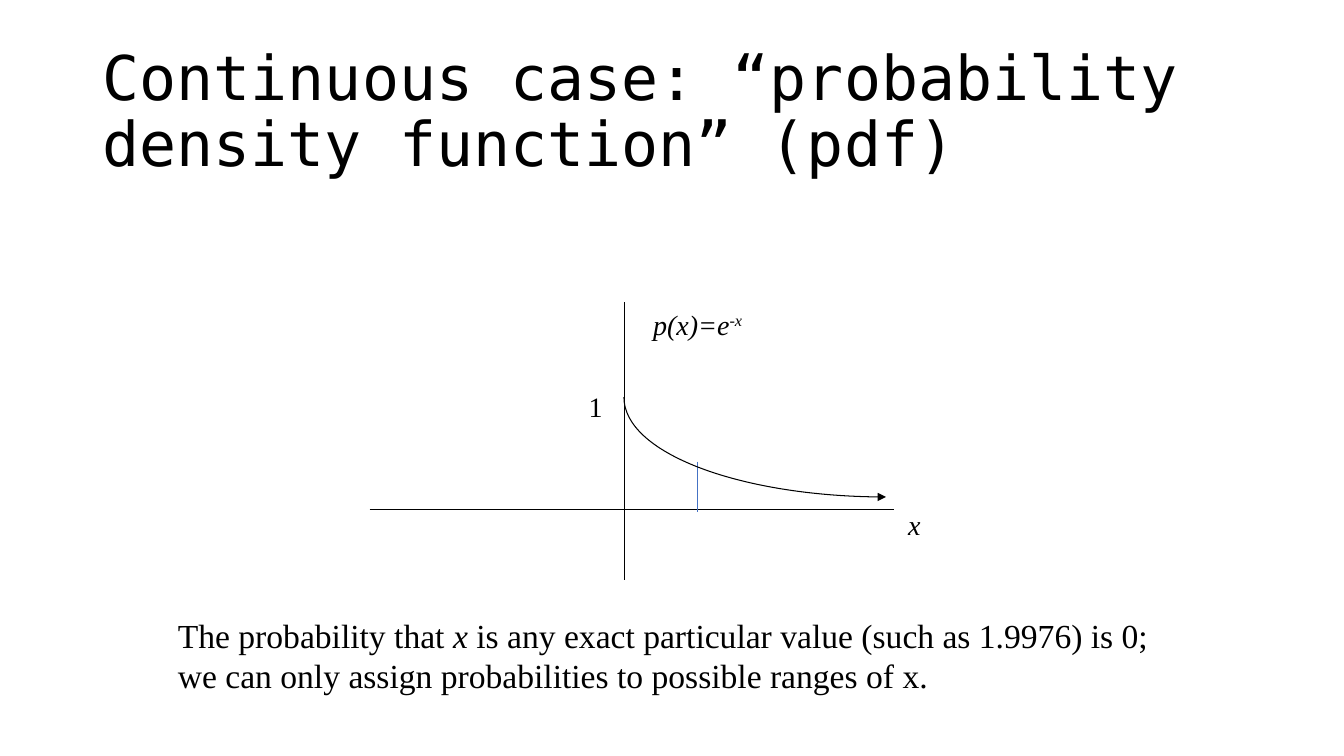
from typing import NamedTuple

from lxml.etree import SubElement
from pptx import Presentation
from pptx.dml.color import RGBColor
from pptx.enum.shapes import MSO_CONNECTOR
from pptx.enum.text import MSO_ANCHOR, MSO_AUTO_SIZE, PP_ALIGN
from pptx.oxml.ns import qn
from pptx.util import Pt

COLORS = {"ink": "000000", "marker": "4472C4"}
TITLE_FONT = "DejaVu Sans Mono"
BODY_FONT = "Times New Roman"


class Run(NamedTuple):
    text: str
    italic: bool = False
    superscript: bool = False


class Label(NamedTuple):
    box: tuple[float, float, float, float]
    runs: list[Run]
    size: float = 20
    insets: tuple[float, float, float, float] = (7.2, 3.6, 7.2, 3.6)
    wrap: bool = True


class Line(NamedTuple):
    start: tuple[float, float]
    end: tuple[float, float]
    color: str = "ink"


LINES = [
    Line((446.4, 216), (446.4, 414)),
    Line((264, 363.6), (638.6, 363.6)),
    Line((498.2, 329.8), (498.2, 365.8), "marker"),
]
# Start, two control points and end of the density curve
CURVE = [(445.7, 283.7), (445.7, 323.3), (529.9, 355), (632.9, 355)]
LABELS = [
    Label((641.5, 359.3, 36.7, 36), [Run("x", True)]),
    Label((459.4, 216, 146.9, 30.2), [Run("p(x)=e", True), Run("-x", True, True)]),
    Label((420.5, 277.9, 10.1, 21.6), [Run("1")], insets=(0, 0, 0, 0), wrap=False),
    Label(
        (120, 435.6, 720, 61.9),
        [
            Run("The probability that "),
            Run("x", True),
            Run(" is any exact particular value (such as 1.9976) is 0; "
                "we can only assign probabilities to possible ranges of x."),
        ],
        size=24,
        insets=(7.2, 3.6, 7.2, 0),
    ),
]


def rgb(name: str) -> RGBColor:
    return RGBColor.from_string(COLORS[name])


def format_font(font, name: str, size: float) -> None:
    font.name = name
    font.size = Pt(size)
    font.color.rgb = rgb("ink")


def format_line(line, color: str) -> None:
    line.color.rgb = rgb(color)
    line.width = Pt(0.75)


def place(sp, box: tuple[float, float, float, float]) -> None:
    sp.left, sp.top, sp.width, sp.height = map(Pt, box)


def add_title(slide, text: str) -> None:
    sp = slide.shapes.title
    place(sp, (66, 28.8, 828, 104.4))
    tf = sp.text_frame
    tf.text = text
    tf.word_wrap = True
    tf.auto_size = MSO_AUTO_SIZE.NONE
    tf.vertical_anchor = MSO_ANCHOR.MIDDLE
    p = tf.paragraphs[0]
    p.alignment = PP_ALIGN.LEFT
    p.line_spacing = 0.9
    format_font(p.runs[0].font, TITLE_FONT, 44)


def add_line(slide, line: Line) -> None:
    cxn = slide.shapes.add_connector(
        MSO_CONNECTOR.STRAIGHT, *map(Pt, line.start + line.end))
    format_line(cxn.line, line.color)
    SubElement(cxn._element.spPr, qn("a:effectLst"))


def add_curve(slide, points: list[tuple[float, float]]) -> None:
    """Draw one cubic Bézier segment that ends in an arrowhead."""
    start, *rest = [(Pt(x), Pt(y)) for x, y in points]
    builder = slide.shapes.build_freeform(*start)
    builder.add_line_segments(rest, close=False)
    sp = builder.convert_to_shape()
    sp.shadow.inherit = False
    sp.fill.background()
    format_line(sp.line, "ink")
    SubElement(sp.line._ln, qn("a:tailEnd"), type="triangle")

    segments = list(sp._element.iter(qn("a:lnTo")))
    bezier = SubElement(segments[0].getparent(), qn("a:cubicBezTo"))
    for segment in segments:
        bezier.append(segment[0])
        segment.getparent().remove(segment)


def add_label(slide, label: Label) -> None:
    sp = slide.shapes.add_textbox(*map(Pt, label.box))
    tf = sp.text_frame
    tf.word_wrap = label.wrap
    tf.margin_left, tf.margin_top, tf.margin_right, tf.margin_bottom = map(
        Pt, label.insets)
    p = tf.paragraphs[0]
    for run in label.runs:
        r = p.add_run()
        r.text = run.text
        format_font(r.font, BODY_FONT, label.size)
        r.font.italic = run.italic
        if run.superscript:
            r.font._element.set("baseline", "30000")


def main() -> None:
    prs = Presentation()
    prs.slide_width, prs.slide_height = Pt(960), Pt(540)
    slide = prs.slides.add_slide(prs.slide_layouts[5])
    add_title(slide, "Continuous case: “probability density function” (pdf)")
    for line in LINES:
        add_line(slide, line)
    add_curve(slide, CURVE)
    for label in LABELS:
        add_label(slide, label)
    prs.save("out.pptx")


if __name__ == "__main__":
    main()
